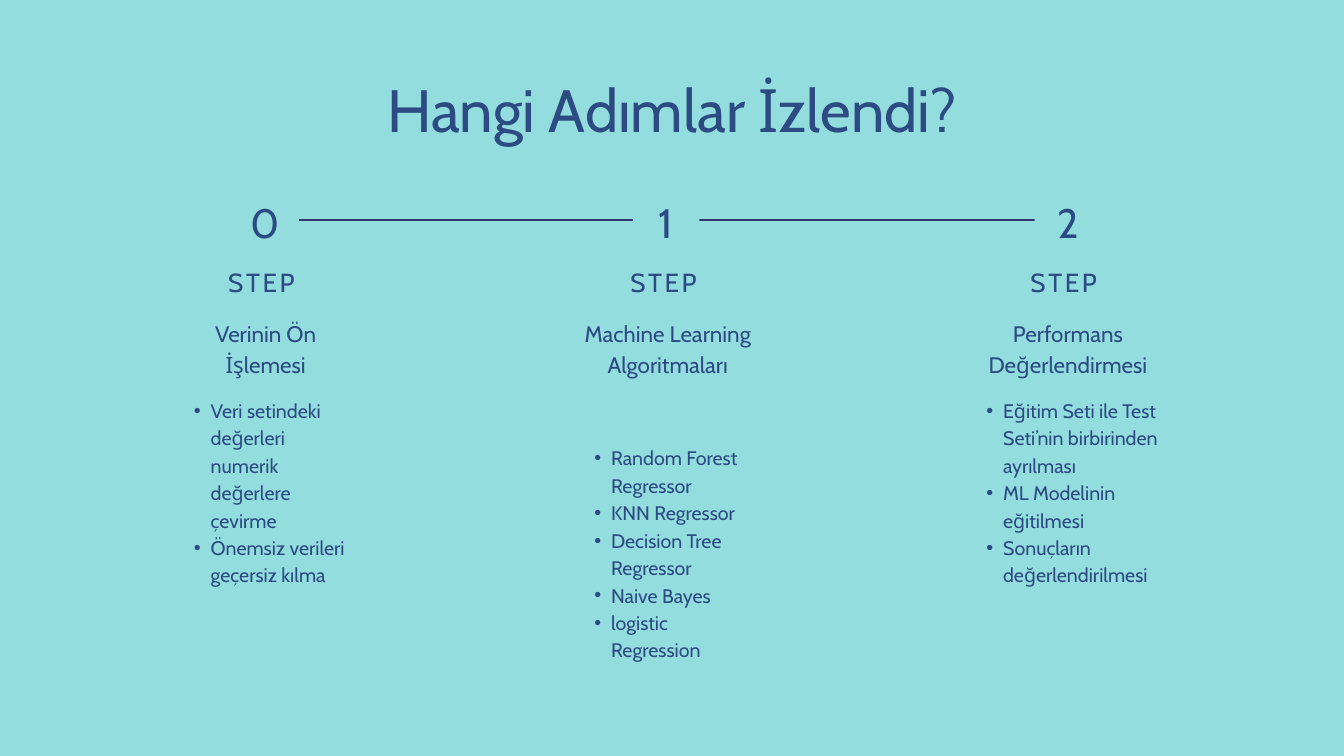
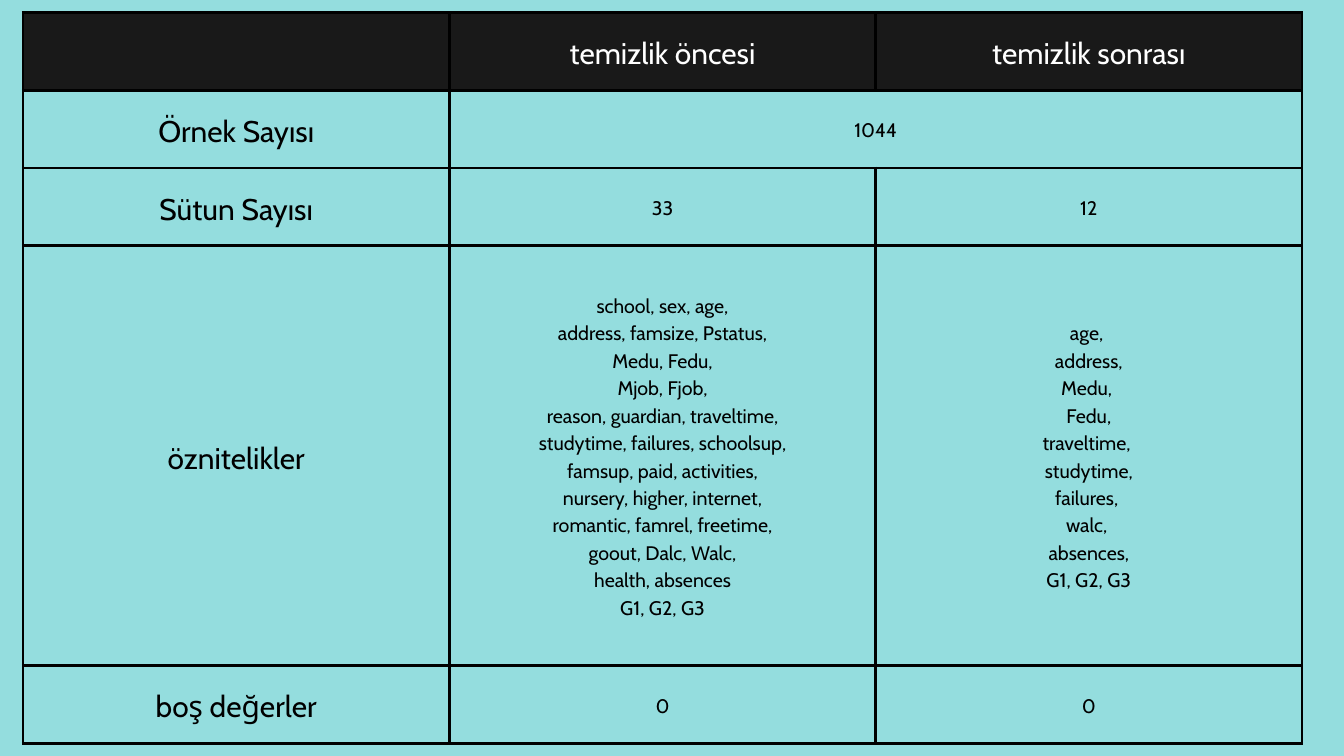
from lxml.etree import SubElement
from pptx import Presentation
from pptx.dml.color import RGBColor
from pptx.enum.shapes import MSO_CONNECTOR, MSO_SHAPE
from pptx.enum.text import MSO_ANCHOR as Anchor, MSO_AUTO_SIZE, PP_ALIGN as Align
from pptx.oxml import parse_xml
from pptx.oxml.ns import nsdecls, qn
from pptx.util import Pt

SKY = RGBColor(0x94, 0xDD, 0xDE)
NAVY = RGBColor(0x2B, 0x4B, 0x82)
INDIGO = RGBColor(0x31, 0x35, 0x6E)
CHARCOAL = RGBColor(0x19, 0x19, 0x19)
BLACK = RGBColor(0, 0, 0)
WHITE = RGBColor(0xFF, 0xFF, 0xFF)
FONT = "Cabin"
LEADING = 1.4
PX = 9525  # EMU

TITLE = "Hangi Adımlar İzlendi?"
STEPS = [
    {"number": "0", "number_left": 332, "left": 253, "width": 253,
     "heading": ["Verinin Ön İşlemesi"], "list_top": 564, "list_height": 272,
     "points": ["Veri setindeki değerleri numerik değerlere çevirme",
                "Önemsiz verileri geçersiz kılma"]},
    {"number": "1", "number_left": 904, "left": 825, "width": 258,
     "heading": ["Machine Learning", "Algoritmaları"], "list_top": 632, "list_height": 313,
     "points": ["Random Forest Regressor", "KNN Regressor", "Decision Tree Regressor",
                "Naive Bayes", "logistic Regression"]},
    {"number": "2", "number_left": 1478, "left": 1385, "width": 281,
     "heading": ["Performans Değerlendirmesi"], "list_top": 564, "list_height": 312,
     "points": ["Eğitim Seti ile Test Seti’nin birbirinden ayrılması",
                "ML Modelinin eğitilmesi", "Sonuçların değerlendirilmesi"]},
]
NUMBER_WIDTH = 95
LINE_Y = 314

BEFORE = ["school, sex, age,", "address, famsize, Pstatus,", "Medu, Fedu,", "Mjob, Fjob,",
          "reason, guardian, traveltime,", "studytime, failures, schoolsup,",
          "famsup, paid, activities,", "nursery, higher, internet,",
          "romantic, famrel, freetime,", "goout, Dalc, Walc,", "health, absences",
          "G1, G2, G3"]
AFTER = ["age, ", "address,", "Medu, ", "Fedu,", "traveltime, ", "studytime,",
         "failures, ", "walc, ", "absences,", "G1, G2, G3"]
COMPARISON = [  # row height, cells; None continues the cell to its left
    (111, [[], ["temizlik öncesi"], ["temizlik sonrası"]]),
    (111, [["Örnek Sayısı"], ["1044"], None]),
    (111, [["Sütun Sayısı"], ["33"], ["12"]]),
    (600, [["öznitelikler"], BEFORE, AFTER]),
    (111, [["boş değerler"], ["0"], ["0"]]),
]
COLUMN_WIDTH = 609
CELL_INSET = 20


def px(*lengths):
    return [length * PX for length in lengths]


def write(frame, lines, size, color=NAVY, align=Align.CENTER, leading=LEADING,
          tracking=0, bullets=False):
    for index, line in enumerate(lines):
        paragraph = frame.add_paragraph() if index else frame.paragraphs[0]
        paragraph.alignment = align
        paragraph.line_spacing = Pt(size * leading)
        if bullets:
            paragraph.level = 1
            properties = paragraph._p.get_or_add_pPr()
            properties.set("marL", str(48 * PX))
            properties.set("indent", str(-24 * PX))
            SubElement(properties, qn("a:buFont")).set("typeface", "Arial")
            SubElement(properties, qn("a:buChar")).set("char", "•")
        run = paragraph.add_run()
        run.text = line
        run.font.name, run.font.size = FONT, Pt(size)
        run.font.color.rgb = color
        if tracking:
            run._r.get_or_add_rPr().set("spc", str(round(tracking * 100)))


def add_text(slide, box, lines, size, anchor=Anchor.TOP, **style):
    frame = slide.shapes.add_textbox(*px(*box)).text_frame
    frame.word_wrap = True
    frame.margin_left = frame.margin_right = frame.margin_top = frame.margin_bottom = 0
    frame.vertical_anchor = anchor
    if anchor == Anchor.TOP:
        frame.auto_size = MSO_AUTO_SIZE.SHAPE_TO_FIT_TEXT
    write(frame, lines, size, **style)


def add_line(slide, start, end):
    line = slide.shapes.add_connector(MSO_CONNECTOR.STRAIGHT, *px(start, LINE_Y, end, LINE_Y))
    line.line.color.rgb = INDIGO
    line.line.width = Pt(2.25)
    SubElement(line._element.spPr, qn("a:effectLst"))


def add_plate(slide, left):
    plate = slide.shapes.add_shape(MSO_SHAPE.RECTANGLE, *px(left, 268, NUMBER_WIDTH, 93))
    plate.shadow.inherit = False
    plate.fill.solid()
    plate.fill.fore_color.rgb = SKY
    plate.line.fill.background()


def add_step(slide, step):
    left, width = step["left"], step["width"]
    heading_height = 131 if len(step["heading"]) > 1 else 86
    add_text(slide, (step["number_left"], 260, NUMBER_WIDTH, 102), [step["number"]], 44,
             anchor=Anchor.MIDDLE, tracking=7.5)
    add_text(slide, (left, 373, width, 49), ["STEP "], 28, tracking=2.8)
    add_text(slide, (left, step["list_top"], width, step["list_height"]), step["points"], 21,
             align=Align.LEFT, bullets=True)
    add_text(slide, (left, 451, width, heading_height), step["heading"], 24)


def add_borders(cell):
    properties = cell._tc.get_or_add_tcPr()
    for index, side in enumerate(("lnL", "lnR", "lnT", "lnB")):
        properties.insert(index, parse_xml(
            f'<a:{side} {nsdecls("a")} w="{Pt(3)}"><a:solidFill>'
            f'<a:srgbClr val="{BLACK}"/></a:solidFill></a:{side}>'))


def add_comparison(slide):
    heights = [height for height, _ in COMPARISON]
    columns = len(COMPARISON[0][1])
    table = slide.shapes.add_table(
        len(heights), columns, *px(33, 18, columns * COLUMN_WIDTH, sum(heights))).table
    for column in table.columns:
        column.width = COLUMN_WIDTH * PX
    for r, (height, texts) in enumerate(COMPARISON):
        table.rows[r].height = height * PX
        for c, lines in enumerate(texts):
            cell = table.cell(r, c)
            cell.margin_left = cell.margin_right = CELL_INSET * PX
            cell.margin_top = cell.margin_bottom = CELL_INSET * PX
            cell.vertical_anchor = Anchor.MIDDLE
            if r == 0:
                cell.fill.solid()
                cell.fill.fore_color.rgb = CHARCOAL
            else:
                cell.fill.background()
            add_borders(cell)
            if lines is None:
                table.cell(r, c - 1).merge(cell)
            else:
                write(cell.text_frame, lines, 32 if r == 0 or c == 0 else 21,
                      color=BLACK if r else WHITE)


def add_slide(deck):
    slide = deck.slides.add_slide(deck.slide_layouts[6])
    slide.background.fill.solid()
    slide.background.fill.fore_color.rgb = SKY
    return slide


def main():
    deck = Presentation()
    deck.slide_width, deck.slide_height = px(1920, 1080)

    steps_slide = add_slide(deck)
    for step, following in zip(STEPS, STEPS[1:]):
        add_line(steps_slide, step["number_left"] + NUMBER_WIDTH, following["number_left"])
    add_text(steps_slide, (113, 117, 1694, 93), [TITLE], 64, leading=1.05)
    for index, step in enumerate(STEPS):
        if index:
            add_plate(steps_slide, step["number_left"])
        add_step(steps_slide, step)

    add_comparison(add_slide(deck))
    deck.save("out.pptx")


if __name__ == "__main__":
    main()
